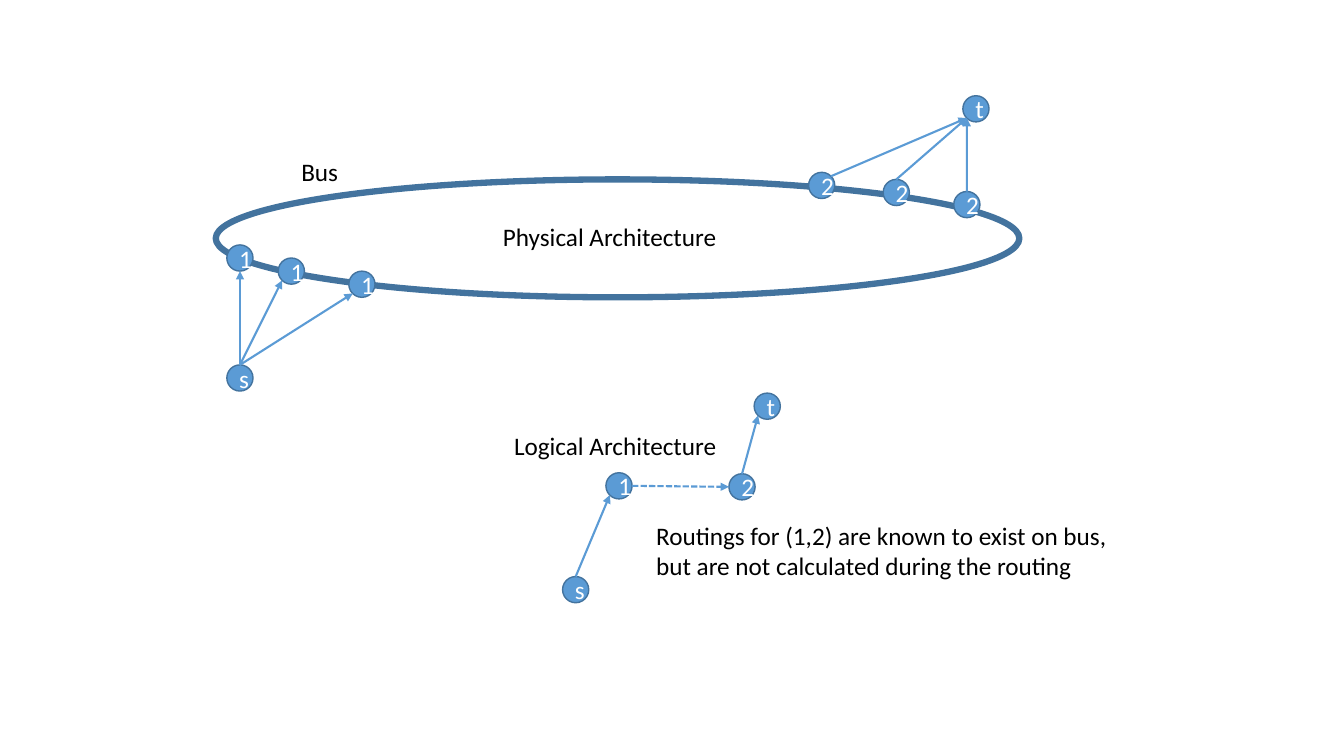
"""Build the slide on the physical and logical architecture of a bus."""
from lxml import etree
from pptx import Presentation, util as u
from pptx.dml.color import RGBColor
from pptx.enum import dml, shapes, text
from pptx.oxml import ns

NODES = {
    "near a": ("1", 2.25, 2.43), "near b": ("1", 2.76, 2.56),
    "near c": ("1", 3.46, 2.69), "far a": ("2", 8.02, 1.71),
    "far b": ("2", 8.76, 1.78), "far c": ("2", 9.46, 1.9),
    "source": ("s", 2.25, 3.62), "target": ("t", 9.55, 0.95),
    "entry": ("1", 6.01, 4.69), "exit": ("2", 7.23, 4.7),
    "start": ("s", 5.58, 5.72), "end": ("t", 7.48, 3.9),
}
LINKS = [
    ("source", "top", "near a", "bottom", False),
    ("source", "top", "near b", "low left", False),
    ("source", "top", "near c", "low left", False),
    ("far a", "high right", "target", "low left", False),
    ("far b", "top", "target", "low left", False),
    ("far c", "top", "target", "low left", False),
    ("start", "top", "entry", "low left", False),
    ("exit", "top", "end", "low left", False),
    ("entry", "right", "exit", "left", True),
]
LABELS = [
    ("Bus", 2.89, 1.5, 0.57, 0.4, False),
    ("Physical Architecture", 4.89, 2.15, 2.34, 0.4, False),
    ("Logical Architecture", 5, 4.22, 2.23, 0.4, False),
    ("Routings for (1,2) are known to exist on bus, "
     "but are not calculated during the routing", 6.41, 5.11, 4.74, 0.71, True),
]
BUS = (2.14, 1.78, 7.97, 1.17)
SIZE = 0.26
SITES = {
    "top": (0.5, 0), "bottom": (0.5, 1), "left": (0, 0.5), "right": (1, 0.5),
    "low left": (0.15, 0.85), "high right": (0.85, 0.15),
}
THEME = {
    "node": RGBColor.from_string("5B9BD5"), "edge": RGBColor.from_string("43739E"),
    "ink": RGBColor.from_string("000000"), "light": RGBColor.from_string("FFFFFF"),
    "font": {"name": "Calibri", "size": u.Pt(18)},
    "bus": u.Pt(4.5), "rim": u.Pt(1), "link": u.Pt(1.5),
}


def put(item, values):
    for name, value in values.items():
        setattr(item, name, value)


def stroke(line, color, width):
    line.color.rgb = color
    line.width = width


def write(frame, words, color, **form):
    put(frame, form)
    run = frame.paragraphs[0].add_run()
    run.text = words
    put(run.font, THEME["font"])
    run.font.color.rgb = color


def oval(slide, box, width):
    shape = slide.shapes.add_shape(shapes.MSO_SHAPE.OVAL, *map(u.Inches, box))
    shape.shadow.inherit = False
    stroke(shape.line, THEME["edge"], width)
    return shape


def node(slide, words, left, top):
    shape = oval(slide, (left, top, SIZE, SIZE), THEME["rim"])
    shape.fill.solid()
    shape.fill.fore_color.rgb = THEME["node"]
    write(shape.text_frame, words, THEME["light"],
          vertical_anchor=text.MSO_ANCHOR.MIDDLE)
    shape.text_frame.paragraphs[0].alignment = text.PP_ALIGN.CENTER


def spot(name, site):
    return [u.Inches(start + part * SIZE)
            for start, part in zip(NODES[name][1:], SITES[site])]


def link(slide, tail, out, head, into, dashed):
    wire = slide.shapes.add_connector(
        shapes.MSO_CONNECTOR.STRAIGHT, *spot(tail, out), *spot(head, into))
    stroke(wire.line, THEME["node"], THEME["link"])
    if dashed:
        wire.line.dash_style = dml.MSO_LINE.SQUARE_DOT
    tip = etree.SubElement(wire.line._get_or_add_ln(), ns.qn("a:tailEnd"))
    tip.set("type", "triangle")
    etree.SubElement(wire._element.spPr, ns.qn("a:effectLst"))


def label(slide, words, left, top, width, height, wrap):
    box = slide.shapes.add_textbox(*map(u.Inches, (left, top, width, height)))
    write(box.text_frame, words, THEME["ink"], word_wrap=wrap,
          auto_size=text.MSO_AUTO_SIZE.SHAPE_TO_FIT_TEXT)


def main():
    deck = Presentation()
    put(deck, {"slide_width": u.Inches(13.33), "slide_height": u.Inches(7.5)})
    slide = deck.slides.add_slide(deck.slide_layouts[6])
    oval(slide, BUS, THEME["bus"]).fill.background()
    for draw, rows in ((node, NODES.values()), (link, LINKS), (label, LABELS)):
        for row in rows:
            draw(slide, *row)
    deck.save("out.pptx")


main()
